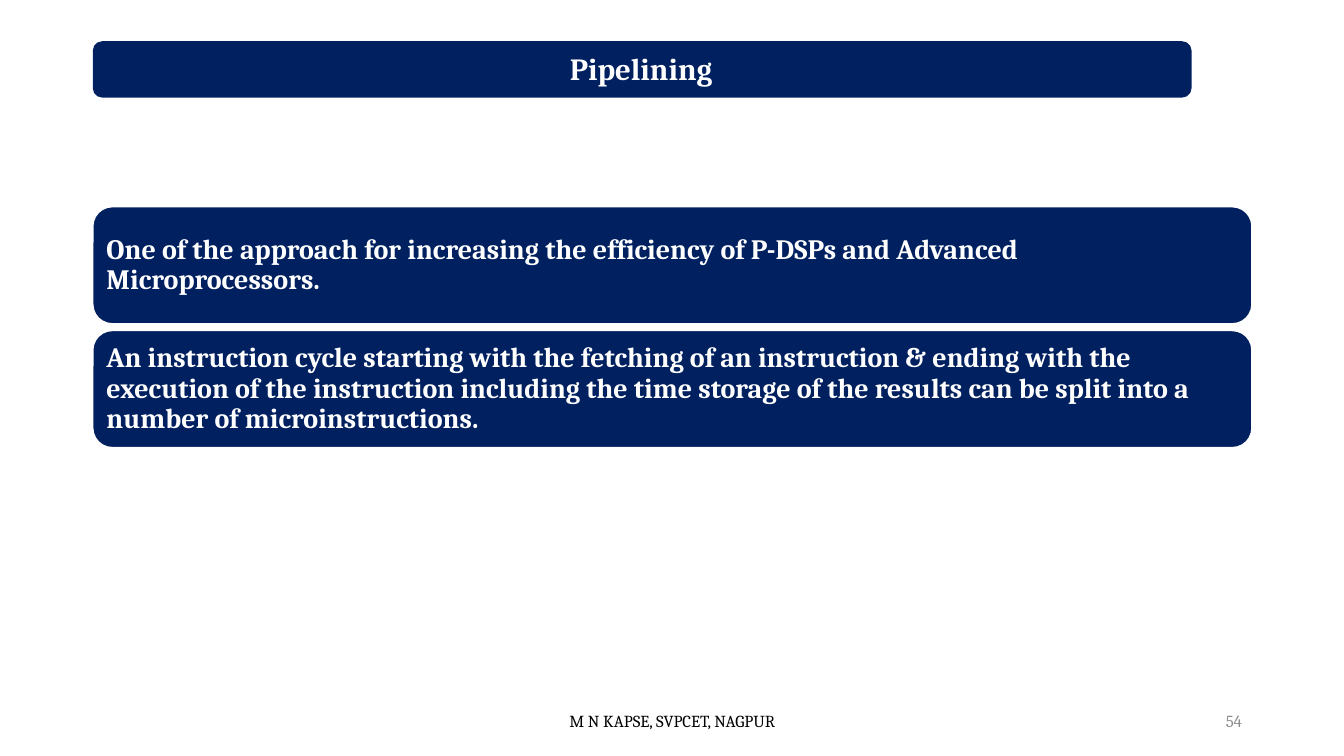
from dataclasses import dataclass

from pptx import Presentation
from pptx.dml.color import RGBColor as Rgb
from pptx.enum.shapes import MSO_SHAPE as Kind
from pptx.enum.text import MSO_ANCHOR as Anchor, MSO_AUTO_SIZE as Fit, PP_ALIGN as Align
from pptx.shapes.autoshape import Shape
from pptx.slide import Slide
from pptx.util import Cm, Pt


@dataclass(frozen=True)
class Theme:
    font: str = "Cambria"
    navy: Rgb = Rgb(0x00, 0x20, 0x60)
    white: Rgb = Rgb(0xFF, 0xFF, 0xFF)
    black: Rgb = Rgb(0, 0, 0)
    gray: Rgb = Rgb(0x8C, 0x8C, 0x8C)
    head: int = 22
    body: int = 20
    foot: int = 12


@dataclass(frozen=True)
class Box:
    left: float
    top: float
    width: float
    height: float

    def place(self) -> tuple[Cm, Cm, Cm, Cm]:
        return Cm(self.left), Cm(self.top), Cm(self.width), Cm(self.height)


@dataclass(frozen=True)
class Note:
    text: str
    box: Box
    color: Rgb
    align: Align


THEME = Theme()
LEFT = 2.34
STEP = 3.12

BAR = Box(LEFT, 1.04, 27.69, 1.42)
HEAD = Box(2.39, 1.12, 27.53, 1.3)
PANELS = [
    "One of the approach for increasing the efficiency of P-DSPs and Advanced "
    "Microprocessors.",
    "An instruction cycle starting with the fetching of an instruction & ending "
    "with the execution of the instruction including the time storage of the "
    "results can be split into a number of microinstructions.",
]
NOTES = [
    Note("M N KAPSE, SVPCET, NAGPUR", Box(11.23, 17.65, 11.43, 1.02),
         THEME.black, Align.CENTER),
    Note("54", Box(23.93, 17.65, 7.62, 1.02), THEME.gray, Align.RIGHT),
]


def write(shape: Shape, text: str, *, size: int, color: Rgb, align: Align = Align.LEFT,
          bold: bool = False, space: float = 1.0, inset: float | None = None) -> None:
    frame = shape.text_frame
    frame.text = text
    frame.word_wrap = True
    frame.auto_size = Fit.NONE
    frame.vertical_anchor = Anchor.MIDDLE
    if inset is not None:
        frame.margin_left = frame.margin_right = Cm(inset)
        frame.margin_top = frame.margin_bottom = Cm(inset)
    para = frame.paragraphs[0]
    para.alignment = align
    para.line_spacing = space
    font = para.runs[0].font
    font.name, font.size, font.bold = THEME.font, Pt(size), bold
    font.color.rgb = color


def panel(slide: Slide, box: Box, line: bool = True) -> Shape:
    shape = slide.shapes.add_shape(Kind.ROUNDED_RECTANGLE, *box.place())
    shape.shadow.inherit = False
    shape.fill.solid()
    shape.fill.fore_color.rgb = THEME.navy
    if line:
        shape.line.color.rgb = THEME.white
        shape.line.width = Pt(1)
    else:
        shape.line.fill.background()
    return shape


def main() -> None:
    deck = Presentation()
    deck.slide_width, deck.slide_height = Cm(33.87), Cm(19.05)
    slide = deck.slides.add_slide(deck.slide_layouts[5])

    # Title, in front of its bar
    bar = panel(slide, BAR, line=False)
    title = slide.shapes.title
    title.left, title.top, title.width, title.height = HEAD.place()
    write(title, "Pipelining", size=THEME.head, color=THEME.white,
          align=Align.CENTER, bold=True, space=0.9, inset=0.23)
    bar.element.addnext(title.element)

    # Text panels
    for row, text in enumerate(PANELS):
        shape = panel(slide, Box(LEFT, 5.21 + row * STEP, 29.21, 2.95))
        write(shape, text, size=THEME.body, color=THEME.white,
              bold=True, space=0.9, inset=0.2)

    # Footer and page number
    for note in NOTES:
        shape = slide.shapes.add_textbox(*note.box.place())
        write(shape, note.text, size=THEME.foot, color=note.color, align=note.align)

    deck.save("out.pptx")


if __name__ == "__main__":
    main()
